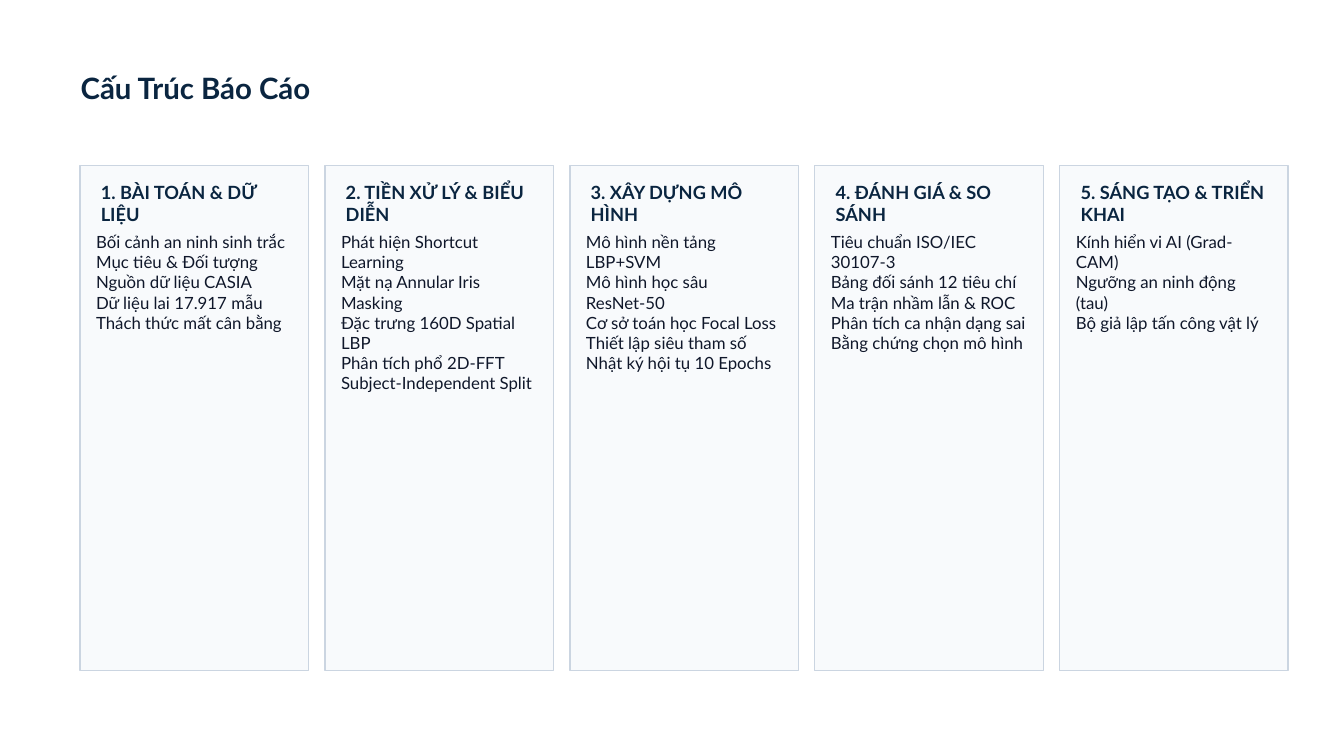
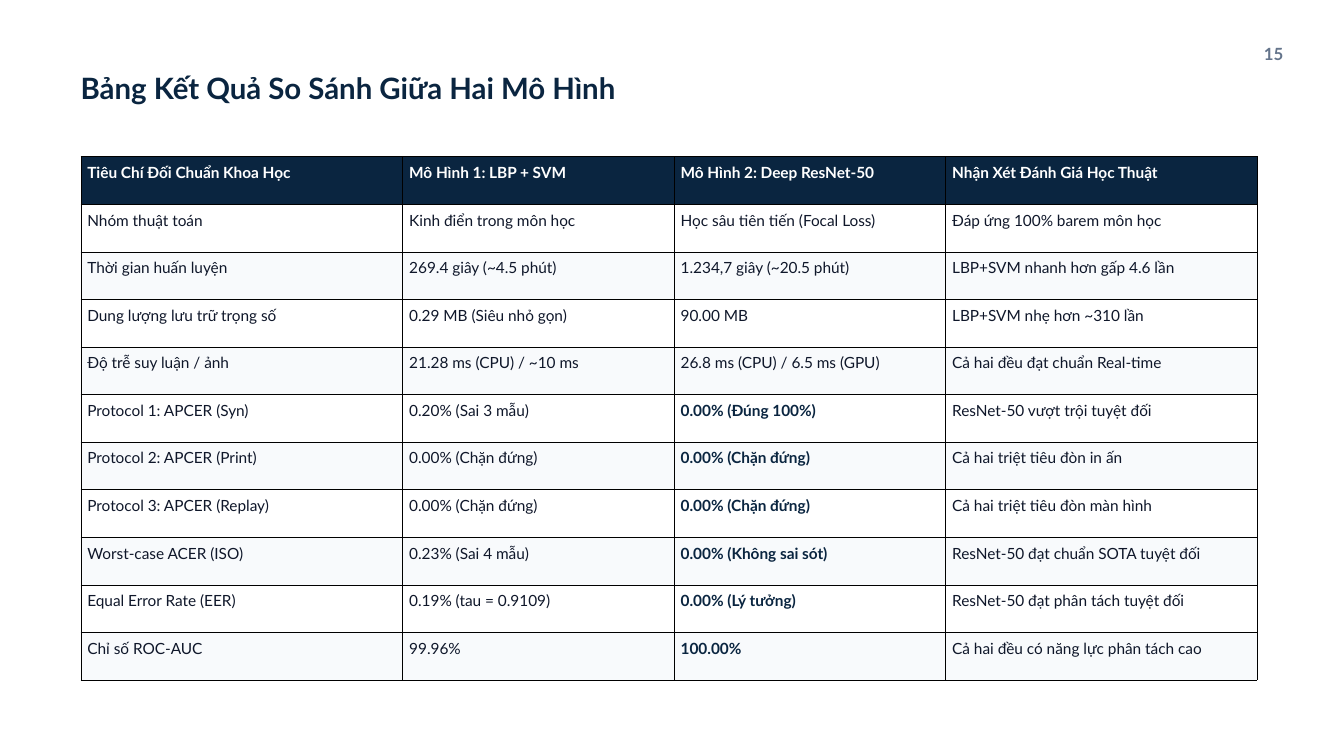
from copy import deepcopy
from dataclasses import dataclass

from lxml import etree
from pptx import Presentation
from pptx import util as u
from pptx.dml.color import RGBColor
from pptx.enum import shapes, text
from pptx.oxml import ns

FONT = "Lato"
COLORS = {
    "navy": "0A2540",
    "ink": "0F172A",
    "muted": "64748B",
    "panel": "F8FAFC",
    "border": "CBD5E1",
    "white": "FFFFFF",
    "grid": "000000",
}


@dataclass(frozen=True)
class Section:
    heading: str
    topics: tuple[str, ...]


SECTIONS = (
    Section("1. BÀI TOÁN & DỮ LIỆU", (
        "Bối cảnh an ninh sinh trắc", "Mục tiêu & Đối tượng", "Nguồn dữ liệu CASIA",
        "Dữ liệu lai 17.917 mẫu", "Thách thức mất cân bằng")),
    Section("2. TIỀN XỬ LÝ & BIỂU DIỄN", (
        "Phát hiện Shortcut Learning", "Mặt nạ Annular Iris Masking",
        "Đặc trưng 160D Spatial LBP", "Phân tích phổ 2D-FFT",
        "Subject-Independent Split")),
    Section("3. XÂY DỰNG MÔ HÌNH", (
        "Mô hình nền tảng LBP+SVM", "Mô hình học sâu ResNet-50",
        "Cơ sở toán học Focal Loss", "Thiết lập siêu tham số",
        "Nhật ký hội tụ 10 Epochs")),
    Section("4. ĐÁNH GIÁ & SO SÁNH", (
        "Tiêu chuẩn ISO/IEC 30107-3", "Bảng đối sánh 12 tiêu chí",
        "Ma trận nhầm lẫn & ROC", "Phân tích ca nhận dạng sai",
        "Bằng chứng chọn mô hình")),
    Section("5. SÁNG TẠO & TRIỂN KHAI", (
        "Kính hiển vi AI (Grad-CAM)", "Ngưỡng an ninh động (tau)",
        "Bộ giả lập tấn công vật lý")),
)
FIRST_CARD, LAST_CARD = 1.19, 15.77
CARD_PITCH = (LAST_CARD - FIRST_CARD) / (len(SECTIONS) - 1)

RESULTS = (
    ("Tiêu Chí Đối Chuẩn Khoa Học", "Mô Hình 1: LBP + SVM",
     "Mô Hình 2: Deep ResNet-50", "Nhận Xét Đánh Giá Học Thuật"),
    ("Nhóm thuật toán", "Kinh điển trong môn học",
     "Học sâu tiên tiến (Focal Loss)", "Đáp ứng 100% barem môn học"),
    ("Thời gian huấn luyện", "269.4 giây (~4.5 phút)",
     "1.234,7 giây (~20.5 phút)", "LBP+SVM nhanh hơn gấp 4.6 lần"),
    ("Dung lượng lưu trữ trọng số", "0.29 MB (Siêu nhỏ gọn)",
     "90.00 MB", "LBP+SVM nhẹ hơn ~310 lần"),
    ("Độ trễ suy luận / ảnh", "21.28 ms (CPU) / ~10 ms",
     "26.8 ms (CPU) / 6.5 ms (GPU)", "Cả hai đều đạt chuẩn Real-time"),
    ("Protocol 1: APCER (Syn)", "0.20% (Sai 3 mẫu)",
     "0.00% (Đúng 100%)", "ResNet-50 vượt trội tuyệt đối"),
    ("Protocol 2: APCER (Print)", "0.00% (Chặn đứng)",
     "0.00% (Chặn đứng)", "Cả hai triệt tiêu đòn in ấn"),
    ("Protocol 3: APCER (Replay)", "0.00% (Chặn đứng)",
     "0.00% (Chặn đứng)", "Cả hai triệt tiêu đòn màn hình"),
    ("Worst-case ACER (ISO)", "0.23% (Sai 4 mẫu)",
     "0.00% (Không sai sót)", "ResNet-50 đạt chuẩn SOTA tuyệt đối"),
    ("Equal Error Rate (EER)", "0.19% (tau = 0.9109)",
     "0.00% (Lý tưởng)", "ResNet-50 đạt phân tách tuyệt đối"),
    ("Chỉ số ROC-AUC", "99.96%",
     "100.00%", "Cả hai đều có năng lực phân tách cao"),
)
COLUMN_WIDTHS = (4.79, 4.04, 4.04, 4.64)
ROW_HEIGHT = 7.79 / len(RESULTS)
WINNER_COLUMN, FIRST_WINNER_ROW = 2, 5


def rgb(color: str) -> RGBColor:
    return RGBColor.from_string(COLORS[color])


def write(frame, *lines: str, size: float, color: str = "ink", bold: bool = False,
          align=text.PP_ALIGN.LEFT, margin: float = 0) -> None:
    """Fill a text frame, one unbulleted paragraph for each line."""
    frame.word_wrap = True
    frame.vertical_anchor = text.MSO_ANCHOR.TOP
    frame.margin_left = frame.margin_right = u.Inches(margin)
    frame.margin_top = frame.margin_bottom = u.Inches(margin)
    frame.text = "\n".join(lines)
    for paragraph in frame.paragraphs:
        properties = paragraph._p.get_or_add_pPr()
        properties.set("marL", "0")
        properties.set("indent", "0")
        etree.SubElement(properties, ns.qn("a:buNone"))
        paragraph.alignment = align
        paragraph.line_spacing = u.Pt(size * 1.2)
        paragraph.space_before = u.Pt(0)
        for run in paragraph.runs:
            run.font.name = FONT
            run.font.size = u.Pt(size)
            run.font.bold = bold
            run.font.color.rgb = rgb(color)


def place(shape, left: float, top: float, width: float, height: float) -> None:
    shape.left, shape.top = u.Inches(left), u.Inches(top)
    shape.width, shape.height = u.Inches(width), u.Inches(height)
    shape.text_frame.auto_size = text.MSO_AUTO_SIZE.NONE


def add_label(slide, label: str, left: float, top: float, width: float,
              height: float, **style) -> None:
    box = slide.shapes.add_textbox(0, 0, 0, 0)
    place(box, left, top, width, height)
    write(box.text_frame, label, **style)


def add_titled_slide(prs, layout, title: str):
    slide = prs.slides.add_slide(layout)
    slide.background.fill.solid()
    slide.background.fill.fore_color.rgb = rgb("white")
    place(slide.shapes.title, 1.2, 1.04, 16.5, 0.53)
    write(slide.shapes.title.text_frame, title, size=31.5, color="navy", bold=True)
    return slide


def add_list_placeholders(layout, count: int) -> None:
    """Give the layout `count` body placeholders in place of its single one."""
    body = layout.placeholders[1]._element
    for number in range(1, count):
        twin = deepcopy(body)
        twin.ph.idx = 20 + number
        twin.nvSpPr.cNvPr.set("id", str(100 + number))
        body.getparent().append(twin)


def add_card(slide, left: float, section: Section, topic_list) -> None:
    card = slide.shapes.add_shape(
        shapes.MSO_SHAPE.RECTANGLE, u.Inches(left), u.Inches(2.46),
        u.Inches(3.4), u.Inches(7.52))
    card.shadow.inherit = False
    card.fill.solid()
    card.fill.fore_color.rgb = rgb("panel")
    card.line.color.rgb = rgb("border")
    card.line.width = u.Pt(1.5)
    # Behind the placeholders, which are created with the slide
    card._element.getparent().insert(2, card._element)

    add_label(slide, section.heading, left + 0.31, 2.7, 2.77, 0.57,
              size=19.5, color="navy", bold=True)
    place(topic_list, left + 0.24, 3.45, 2.92, 6.3)
    write(topic_list.text_frame, *section.topics, size=18)


def set_borders(cell, color: str, width: float) -> None:
    properties = cell._tc.get_or_add_tcPr()
    for position, side in enumerate(("lnL", "lnR", "lnT", "lnB")):
        line = etree.Element(ns.qn(f"a:{side}"), w=str(u.Pt(width)))
        fill = etree.SubElement(line, ns.qn("a:solidFill"))
        etree.SubElement(fill, ns.qn("a:srgbClr"), val=COLORS[color])
        properties.insert(position, line)


def add_results_table(slide) -> None:
    table = slide.shapes.add_table(
        len(RESULTS), len(COLUMN_WIDTHS), u.Inches(1.2), u.Inches(2.33),
        u.Inches(sum(COLUMN_WIDTHS)), u.Inches(ROW_HEIGHT * len(RESULTS))).table
    for column, width in zip(table.columns, COLUMN_WIDTHS):
        column.width = u.Inches(width)
    for r, values in enumerate(RESULTS):
        table.rows[r].height = u.Inches(ROW_HEIGHT)
        header = r == 0
        background = "navy" if header else "white" if r % 2 else "panel"
        for c, value in enumerate(values):
            winner = c == WINNER_COLUMN and r >= FIRST_WINNER_ROW
            cell = table.cell(r, c)
            cell.margin_left = cell.margin_right = u.Inches(0.1)
            cell.margin_top = cell.margin_bottom = u.Inches(0.1)
            cell.fill.solid()
            cell.fill.fore_color.rgb = rgb(background)
            set_borders(cell, "grid", 0.37)
            write(cell.text_frame, value, size=16.5, bold=header or winner, margin=0.1,
                  color="white" if header else "navy" if winner else "ink")


def build_outline(prs) -> None:
    layout = prs.slide_layouts.get_by_name("Title and Content")
    add_list_placeholders(layout, len(SECTIONS))
    slide = add_titled_slide(prs, layout, "Cấu Trúc Báo Cáo")
    topic_lists = list(slide.placeholders)[1:]
    for i, (section, topic_list) in enumerate(zip(SECTIONS, topic_lists)):
        add_card(slide, FIRST_CARD + i * CARD_PITCH, section, topic_list)


def build_comparison(prs) -> None:
    layout = prs.slide_layouts.get_by_name("Title Only")
    slide = add_titled_slide(prs, layout, "Bảng Kết Quả So Sánh Giữa Hai Mô Hình")
    add_label(slide, "15", 18.1, 0.65, 1, 0.42, size=18, color="muted", bold=True,
              align=text.PP_ALIGN.RIGHT)
    add_results_table(slide)


def main() -> None:
    prs = Presentation()
    prs.slide_width, prs.slide_height = u.Inches(20), u.Inches(11.25)
    build_outline(prs)
    build_comparison(prs)
    prs.save("out.pptx")


if __name__ == "__main__":
    main()
